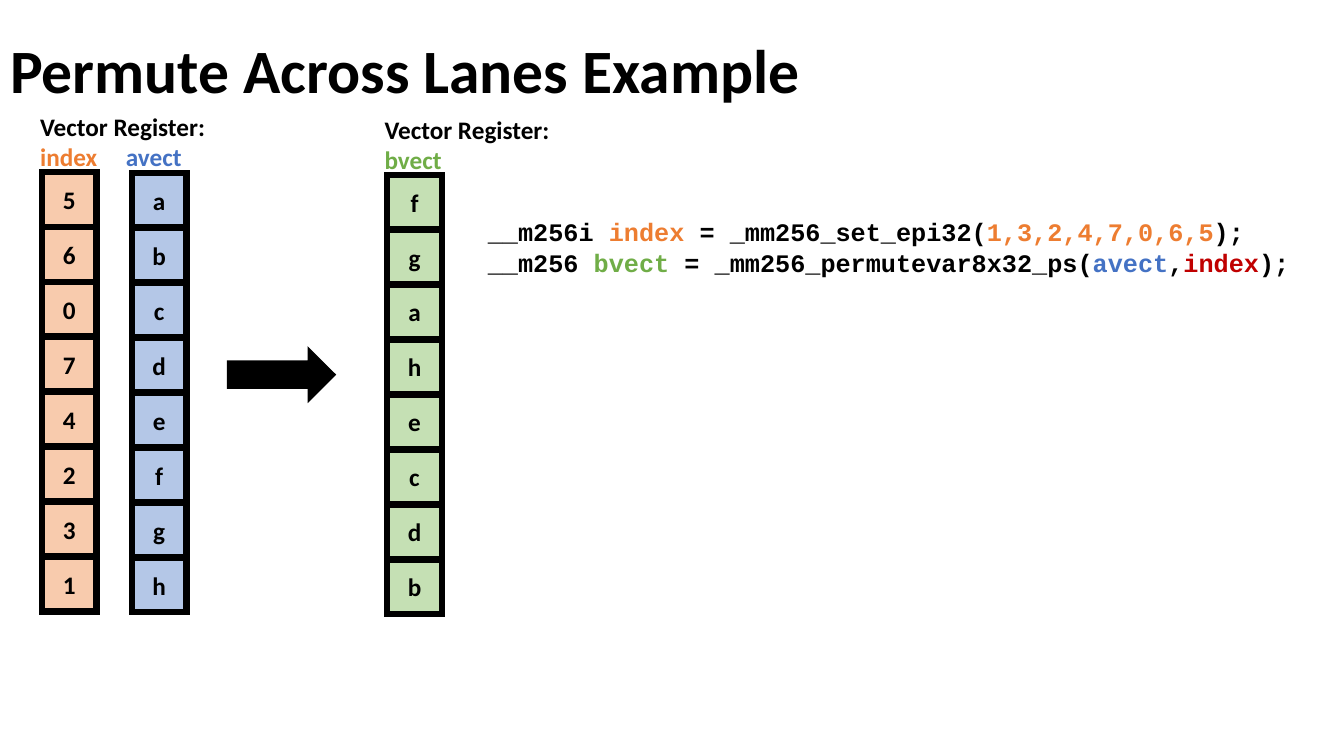
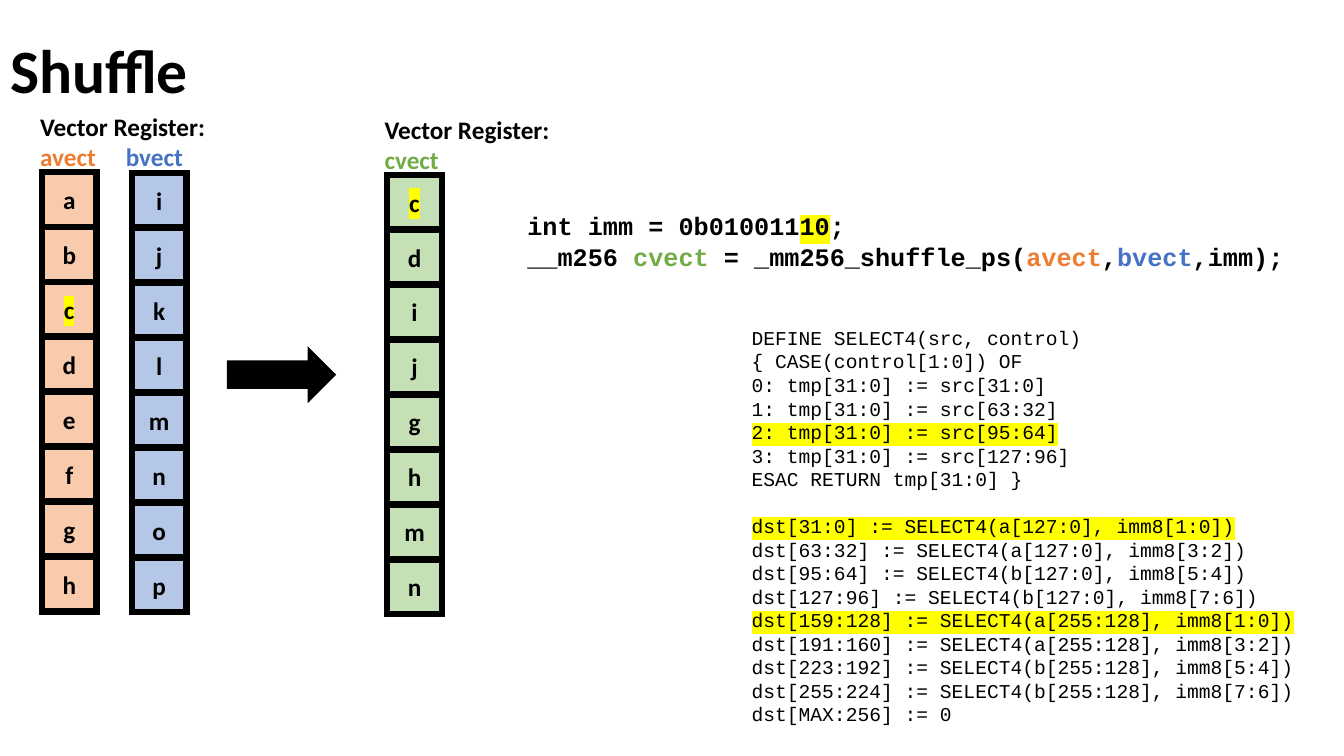
from collections import namedtuple

from lxml.etree import SubElement
from pptx import Presentation
from pptx.dml.color import RGBColor
from pptx.enum.shapes import MSO_SHAPE as Preset
from pptx.enum.text import MSO_ANCHOR as Anchor, MSO_AUTO_SIZE as AutoSize, PP_ALIGN as Align
from pptx.oxml import parse_xml
from pptx.oxml.ns import nsdecls, qn
from pptx.util import Inches, Pt

# Grid: 16 columns by 9 rows of square units
SLIDE_W, SLIDE_H = Inches(13.333), Inches(7.5)
UNIT = SLIDE_H / 9

# Colours
BLACK = RGBColor(0x00, 0x00, 0x00)
ORANGE = RGBColor(0xED, 0x7D, 0x31)
BLUE = RGBColor(0x44, 0x72, 0xC4)
GREEN = RGBColor(0x70, 0xAD, 0x47)
RED = RGBColor(0xC0, 0x00, 0x00)
PALE_ORANGE = RGBColor(0xF8, 0xCB, 0xAD)
PALE_BLUE = RGBColor(0xB4, 0xC7, 0xE7)
PALE_GREEN = RGBColor(0xC5, 0xE0, 0xB4)
YELLOW = RGBColor(0xFF, 0xFF, 0x00)

# Fonts
BODY, CODE = "Calibri", "Courier New"

# Registers: eight cells, evenly spread over the stack
LANES = 8
CELL = 0.65
STACK = 5.23
PITCH = (STACK - CELL) / (LANES - 1)
SECOND_NAME_TAB = 1.02

Run = namedtuple("Run", "text color marked", defaults=(BLACK, False))


def units(*lengths):
    """Grid units as slide lengths."""
    return [round(length * UNIT) for length in lengths]


def write(frame, lines, size=18, font=BODY, bold=True, align=Align.LEFT,
          anchor=Anchor.TOP, spacing=None, gap_before=(), tab=None):
    """Fill a frame; each line is a string or a list of runs."""
    frame.word_wrap = True
    frame.vertical_anchor = anchor
    for number, line in enumerate(lines):
        para = frame.paragraphs[0] if number == 0 else frame.add_paragraph()
        para.alignment = align
        if spacing:
            para.line_spacing = spacing
        if number in gap_before:
            para.space_before = Pt(size * 1.2)
        if tab:
            stops = SubElement(para._p.get_or_add_pPr(), qn("a:tabLst"))
            SubElement(stops, qn("a:tab"), pos=str(units(tab)[0]), algn="l")
        for piece in [Run(line)] if isinstance(line, str) else line:
            run = para.add_run()
            run.text = piece.text
            run.font.size, run.font.bold = Pt(size), bold
            run.font.name = font
            run.font.color.rgb = piece.color
            if piece.marked:
                highlight = parse_xml(
                    f'<a:highlight {nsdecls("a")}><a:srgbClr val="{YELLOW}"/></a:highlight>')
                run._r.rPr.find(qn("a:solidFill")).addnext(highlight)


def add_text(slide, left, top, width, height, lines, **style):
    box = slide.shapes.add_textbox(*units(left, top, width, height))
    write(box.text_frame, lines, **style)
    box.text_frame.auto_size = AutoSize.SHAPE_TO_FIT_TEXT


def add_block(slide, preset, left, top, width, height, fill, line_width):
    block = slide.shapes.add_shape(preset, *units(left, top, width, height))
    block.shadow.inherit = False
    block.fill.solid()
    block.fill.fore_color.rgb = fill
    block.line.color.rgb = BLACK
    block.line.width = Pt(line_width)
    SubElement(block.line._get_or_add_ln(), qn("a:miter"), lim="800000")
    return block


def add_register(slide, left, top, fill, values, marked=None):
    """A column of cells, one per lane; the marked lane is highlighted."""
    for lane, value in enumerate(values):
        cell = add_block(slide, Preset.RECTANGLE, left, top + lane * PITCH,
                         CELL, CELL, fill, 4.5)
        frame = cell.text_frame
        frame.margin_left = frame.margin_right = 0
        write(frame, [[Run(value, marked=lane == marked)]],
              align=Align.CENTER, anchor=Anchor.MIDDLE)


def add_example(deck, heading, names, values, marks=(None, None, None)):
    """Title, two input registers, an arrow and the result register."""
    slide = deck.slides.add_slide(deck.slide_layouts[5])

    # Title
    title = slide.shapes.title
    title.left, title.top, title.width, title.height = units(0, 0, 13.8, 1.74)
    write(title.text_frame, [heading], size=44, anchor=Anchor.MIDDLE, spacing=0.9)
    title.text_frame.auto_size = AutoSize.NONE

    # Register names
    first, second, result = names
    add_text(slide, 0.36, 1.26, 2.44, 0.85,
             ["Vector Register:", [Run(first + "\t", ORANGE), Run(second, BLUE)]],
             tab=SECOND_NAME_TAB)
    add_text(slide, 4.46, 1.3, 2.44, 0.85, ["Vector Register:", [Run(result, GREEN)]])

    # Registers and arrow
    places = ((0.5, 2.05, PALE_ORANGE), (1.57, 2.06, PALE_BLUE), (4.61, 2.08, PALE_GREEN))
    for place, lanes, mark in zip(places, values, marks):
        add_register(slide, *place, lanes, mark)
    add_block(slide, Preset.RIGHT_ARROW, 2.71, 4.14, 1.28, 0.64, BLACK, 1)
    return slide


def add_permute(deck):
    slide = add_example(deck, "Permute Across Lanes Example",
                        ("index", "avect", "bvect"),
                        ("56074231", "abcdefgh", "fgahecdb"))
    add_text(slide, 5.69, 2.52, 10.2, 0.85, [
        [Run("__m256i "), Run("index ", ORANGE), Run("= _mm256_set_epi32("),
         Run("1,3,2,4,7,0,6,5", ORANGE), Run(");")],
        [Run("__m256 "), Run("bvect ", GREEN), Run("= _mm256_permutevar8x32_ps("),
         Run("avect", BLUE), Run(","), Run("index", RED), Run(");")],
    ], font=CODE)


def add_shuffle(deck):
    slide = add_example(deck, "Shuffle", ("avect", "bvect", "cvect"),
                        ("abcdefgh", "ijklmnop", "cdijghmn"), marks=(2, None, 0))
    add_text(slide, 6.16, 2.45, 9.72, 0.85, [
        [Run("int imm = 0b010011"), Run("10", marked=True), Run(";")],
        [Run("__m256 "), Run("cvect ", GREEN), Run("= _mm256_shuffle_ps("),
         Run("avect", ORANGE), Run(","), Run("bvect", BLUE), Run(",imm);")],
    ], font=CODE)

    # Pseudocode of the instruction
    select = [
        "DEFINE SELECT4(src, control)",
        "{ CASE(control[1:0]) OF",
        "0: tmp[31:0] := src[31:0]",
        "1: tmp[31:0] := src[63:32]",
        [Run("2: tmp[31:0] := src[95:64]", marked=True)],
        "3: tmp[31:0] := src[127:96]",
        "ESAC RETURN tmp[31:0] }",
    ]
    assign = [
        [Run("dst[31:0] := SELECT4(a[127:0], imm8[1:0])", marked=True)],
        "dst[63:32] := SELECT4(a[127:0], imm8[3:2])",
        "dst[95:64] := SELECT4(b[127:0], imm8[5:4])",
        "dst[127:96] := SELECT4(b[127:0], imm8[7:6])",
        [Run("dst[159:128] := SELECT4(a[255:128], imm8[1:0])", marked=True)],
        "dst[191:160] := SELECT4(a[255:128], imm8[3:2])",
        "dst[223:192] := SELECT4(b[255:128], imm8[5:4])",
        "dst[255:224] := SELECT4(b[255:128], imm8[7:6])",
        "dst[MAX:256] := 0",
    ]
    add_text(slide, 8.83, 3.82, 6.74, 4.93, select + assign,
             size=14, font=CODE, bold=False, gap_before=(len(select),))


def main():
    deck = Presentation()
    deck.slide_width, deck.slide_height = SLIDE_W, SLIDE_H
    add_permute(deck)
    add_shuffle(deck)
    deck.save("out.pptx")


if __name__ == "__main__":
    main()
